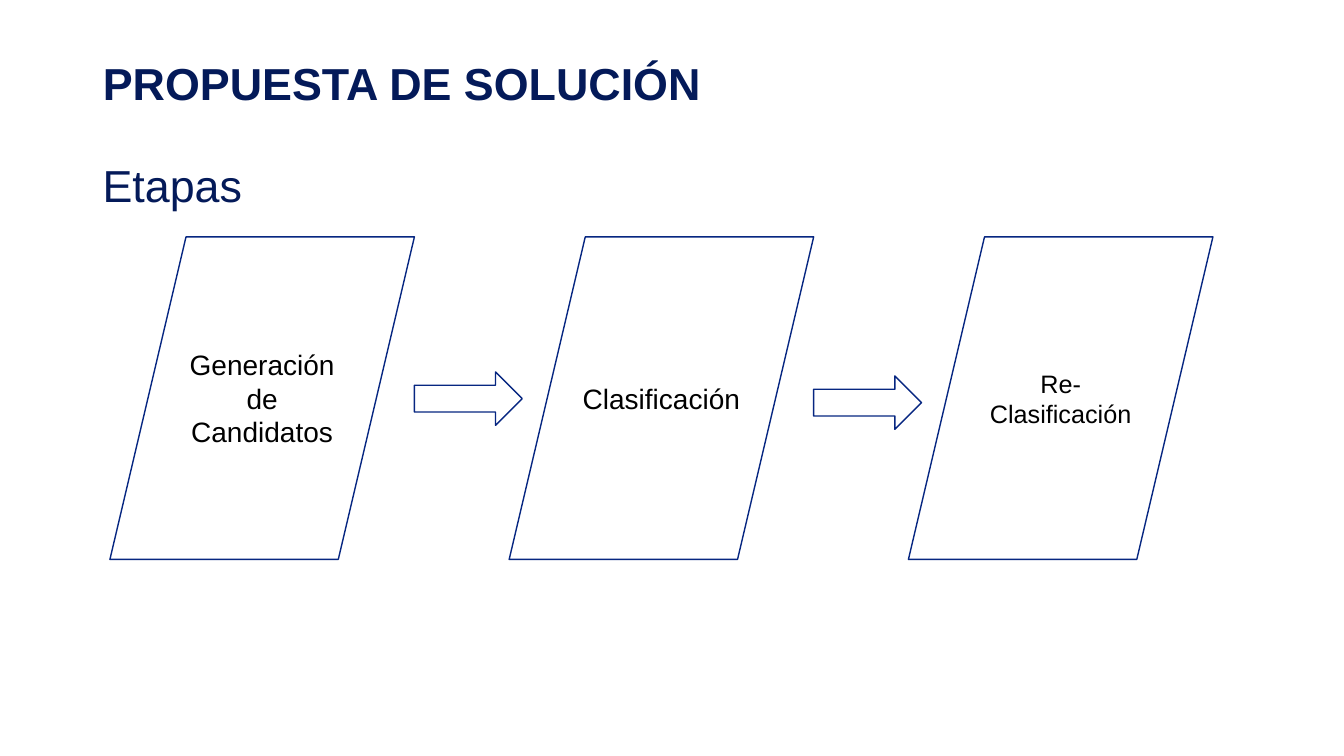
from pptx import Presentation
from pptx.dml.color import RGBColor
from pptx.enum.shapes import MSO_SHAPE as SHAPE
from pptx.enum.text import MSO_ANCHOR as ANCHOR, MSO_AUTO_SIZE as AUTO, PP_ALIGN as ALIGN
from pptx.util import Inches, Pt

NAVY, BLUE, WHITE, BLACK = "041A59", "062681", "FFFFFF", "000000"


def rgb(value):
    return RGBColor.from_string(value)


def write(tf, text, size=20, color=BLACK, bold=False, align=ALIGN.LEFT, spacing=None):
    p = tf.paragraphs[0]
    p.alignment = align
    if spacing:
        p.line_spacing = spacing
    r = p.add_run()
    r.text = text
    r.font.name = "Arial"
    r.font.size = Pt(size)
    r.font.bold = bold
    r.font.color.rgb = rgb(color)


class StageSlide:
    def __init__(self, prs):
        self.s = prs.slides.add_slide(prs.slide_layouts[5])

    def title(self, text, left, top, width, height):
        sp = self.s.shapes.title
        sp.left, sp.top = Inches(left), Inches(top)
        sp.width, sp.height = Inches(width), Inches(height)
        tf = sp.text_frame
        tf.auto_size = AUTO.NONE
        tf.vertical_anchor = ANCHOR.MIDDLE
        write(tf, text, size=32, color=NAVY, bold=True, spacing=0.9)

    def label(self, text, left, top, width, height):
        sp = self.s.shapes.add_textbox(*map(Inches, (left, top, width, height)))
        tf = sp.text_frame
        tf.word_wrap = False
        tf.auto_size = AUTO.SHAPE_TO_FIT_TEXT
        write(tf, text, size=32, color=NAVY)

    def outline(self, kind, left, top, width, height):
        sp = self.s.shapes.add_shape(kind, *map(Inches, (left, top, width, height)))
        sp.shadow.inherit = False
        sp.fill.solid()
        sp.fill.fore_color.rgb = rgb(WHITE)
        sp.line.color.rgb = rgb(BLUE)
        sp.line.width = Pt(1)
        return sp

    def stage(self, text, size, left, top, width, height):
        tf = self.outline(SHAPE.PARALLELOGRAM, left, top, width, height).text_frame
        tf.word_wrap = True
        tf.vertical_anchor = ANCHOR.MIDDLE
        write(tf, text, size=size, align=ALIGN.CENTER)

    def arrow(self, left, top):
        self.outline(SHAPE.RIGHT_ARROW, left, top, 1.07, 0.53)


def main():
    prs = Presentation()
    prs.slide_width, prs.slide_height = Inches(13.33), Inches(7.5)
    slide = StageSlide(prs)

    # Headings
    slide.title("PROPUESTA DE SOLUCIÓN", 0.92, 0.4, 6.38, 0.9)
    slide.label("Etapas", 0.92, 1.52, 1.6, 0.64)

    # Stages, evenly spaced
    first, step, width = 1.09, 3.96, 3.02
    stages = [("Generación de Candidatos", 20), ("Clasificación", 20), ("Re-Clasificación", 18)]
    for i, (text, size) in enumerate(stages):
        slide.stage(text, size, first + i * step, 2.35, width, 3.2)

    # Arrows start at the right edge of each stage
    for i, top in enumerate((3.69, 3.73)):
        slide.arrow(first + i * step + width, top)

    prs.save("out.pptx")


if __name__ == "__main__":
    main()
